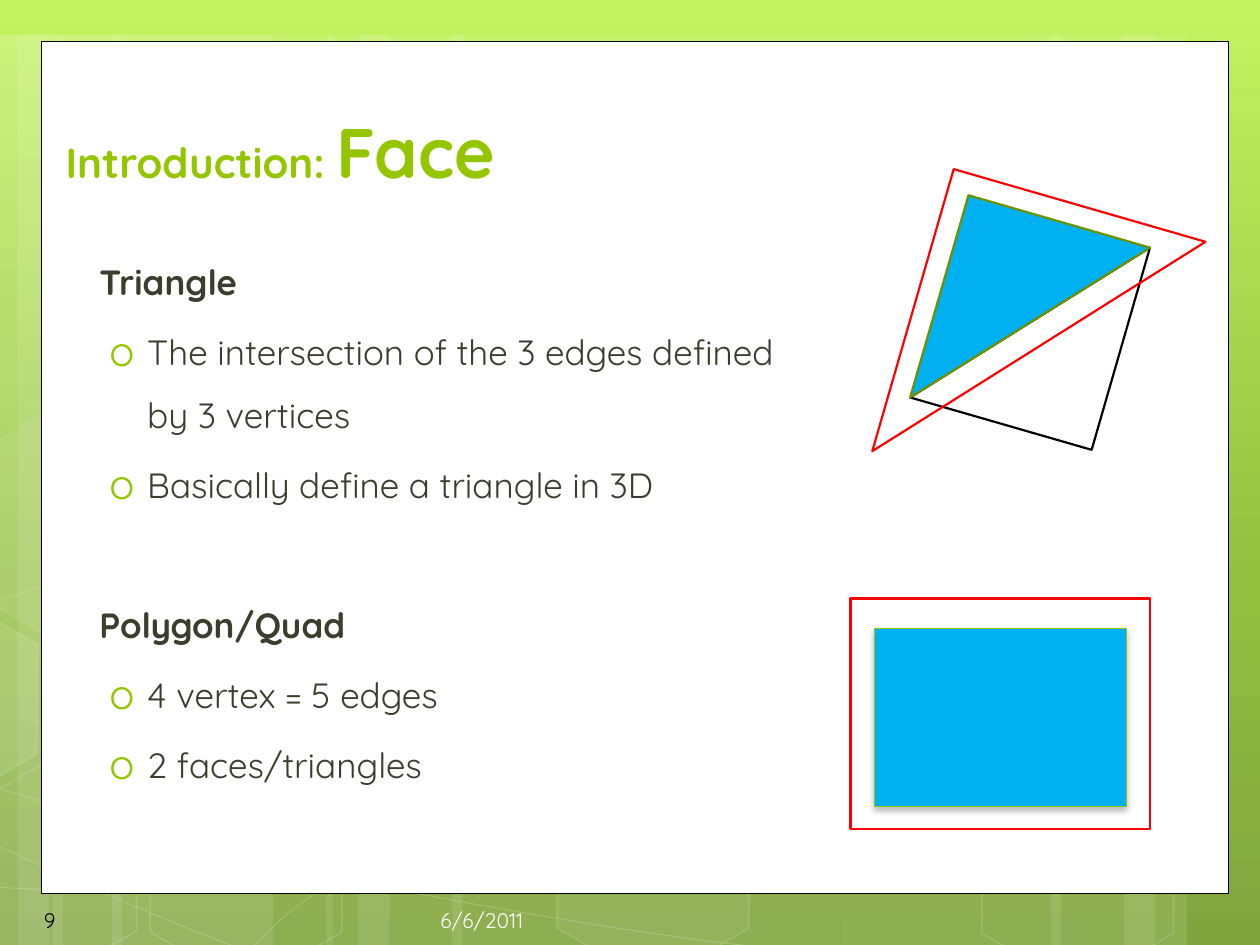
import math
from copy import deepcopy
from dataclasses import dataclass

from lxml import etree
from pptx import Presentation
from pptx.dml.color import RGBColor
from pptx.enum.shapes import MSO_SHAPE
from pptx.enum.text import MSO_ANCHOR, PP_ALIGN
from pptx.oxml.ns import qn
from pptx.util import Inches, Pt

RECT, HEXAGON, TRIANGLE = MSO_SHAPE.RECTANGLE, MSO_SHAPE.HEXAGON, MSO_SHAPE.RIGHT_TRIANGLE
LEFT, RIGHT = PP_ALIGN.LEFT, PP_ALIGN.RIGHT
MIDDLE, BOTTOM = MSO_ANCHOR.MIDDLE, MSO_ANCHOR.BOTTOM

FONT = "Quicksand"
WHITE = RGBColor(0xFF, 0xFF, 0xFF)
OFF_WHITE = RGBColor(0xFE, 0xFE, 0xFE)
BLACK = RGBColor(0, 0, 0)
RED = RGBColor(0xFF, 0, 0)
BLUE = RGBColor(0, 0xB0, 0xF0)
LIME = RGBColor(0x94, 0xC6, 0)
OLIVE = RGBColor(0x6D, 0x92, 0)
INK = RGBColor(0x3E, 0x3D, 0x2D)
BACKGROUND_STOPS = [
    (0, RGBColor(0xC3, 0xF3, 0x5F)),
    (0.62, RGBColor(0x93, 0xBF, 0x3F)),
    (1, RGBColor(0x81, 0xA5, 0x3E)),
]


@dataclass
class Style:
    fill: RGBColor | None = None
    fill_alpha: int = 100
    line: RGBColor | None = None
    width: float = 1
    line_alpha: int = 100


@dataclass
class Figure:
    box: tuple
    style: Style
    kind: int = RECT
    rotation: float = 0


# Background bands: left, width, rotation
BANDS = [(0.42, 1.75, 0), (-0.33, 0.83, 0), (0.89, 1.75, 0), (-0.11, 0.5, 0), (0.14, 0.83, 0),
         (6.67, 1.75, 180), (8.92, 0.5, 180), (8.34, 0.83, 180), (3.59, 3.08, 0),
         (2.59, 0.5, 0), (2.84, 0.83, 0)]
# Background hexagons: left, top, fill opacity, line opacity
HEXAGONS = [(2.68, 0.64, 4, 8), (4.31, 6.17, 6, 12), (-0.55, 6.19, 0, 12), (-0.52, 3.4, 7, 8),
            (0.27, 4.8, 0, 12), (1.08, 6.2, 0, 12), (0.29, 1.99, 0, 12), (7.68, 6.21, 0, 12)]
# Hexagons cut at the slide's edge: centre, fill opacity, corners
CUT_HEXAGONS = [
    ((-0.3, 5.64), 10, [(-0.58, 4.73), (-0.47, 4.67), (0.3, 5.11), (0.29, 5.98),
                        (-0.46, 6.42), (-0.58, 6.36)]),
    ((9.19, 5.48), 4, [(8.6, 5.14), (9.35, 4.7), (9.43, 4.74), (9.43, 6.42), (9.36, 6.45), (8.6, 6.01)]),
    ((9.19, 2.7), 0, [(8.6, 2.36), (9.35, 1.92), (9.44, 1.96), (9.43, 3.63), (9.36, 3.67), (8.6, 3.23)]),
]
# Bezier chains: a start, then two controls and an end for every piece
CURVES = [
    [(-0.59, 7.01), (-0.05, 7.04), (0.49, 7.08), (1.24, 7.06), (1.99, 7.05), (2.92, 7.03),
     (3.92, 6.93), (4.92, 6.83), (6.34, 6.64), (7.26, 6.45), (8.17, 6.26), (9.11, 5.96), (9.41, 5.79)],
    [(-0.59, 5.05), (-0.3, 4.9), (-0.01, 4.74), (0.55, 4.6), (1.12, 4.45), (1.93, 4.23),
     (2.81, 4.15), (3.7, 4.08), (4.78, 4.08), (5.88, 4.15), (6.98, 4.23), (8.81, 4.54), (9.41, 4.62)],
    [(-0.6, 6.45), (0.61, 7), (1.81, 7.55), (2.68, 7.78)],
    [(-0.59, 6.06), (-0.28, 6.17), (0.04, 6.28), (0.62, 6.44), (1.2, 6.6), (2.07, 6.84),
     (2.9, 7.01), (3.74, 7.18), (4.79, 7.36), (5.62, 7.47), (6.45, 7.57), (7.34, 7.61),
     (7.87, 7.65), (8.39, 7.68), (8.53, 7.66), (8.79, 7.66), (9.05, 7.66), (9.23, 7.64), (9.41, 7.62)],
    [(1.76, 7.78), (1.94, 7.58), (2.12, 7.38), (2.36, 7.19), (2.6, 7.01), (2.94, 6.81),
     (3.22, 6.67), (3.5, 6.54), (3.67, 6.48), (4.03, 6.37), (4.4, 6.27), (5.07, 6.13),
     (5.42, 6.06), (5.78, 6), (5.83, 6), (6.14, 5.97), (6.45, 5.95), (6.94, 5.92),
     (7.28, 5.91), (7.63, 5.9), (8.2, 5.91), (8.2, 5.91), (8.42, 5.91), (8.65, 5.91),
     (8.87, 5.91), (9.05, 5.91), (9.22, 5.93), (9.31, 5.93), (9.4, 5.94), (9.37, 5.94), (9.4, 5.95)],
]

TRIANGLE_BOX = (7.34, 1.81, 1.67, 1.5)
RED_OUTLINE = Style(line=RED, width=1.25)
QUAD = Figure((6.94, 4.99, 2, 1.41), Style(BLUE, line=LIME, width=0.75))
FACES = [
    Figure(TRIANGLE_BOX, Style(line=BLACK, width=1.25), TRIANGLE, 286.1),
    Figure(TRIANGLE_BOX, Style(BLUE, line=OLIVE, width=1.25), TRIANGLE, 106.1),
    Figure((7.08, 1.71, 2.33, 2.08), RED_OUTLINE, TRIANGLE, 106.1),
    QUAD,
    Figure((6.75, 4.75, 2.38, 1.83), RED_OUTLINE),
]
TOPICS = {
    "Triangle": ["The intersection of the 3 edges defined by 3 vertices",
                 "Basically define a triangle in 3D"],
    "Polygon/Quad": ["4 vertex = 5 edges", "2 faces/triangles"],
}


def apply_style(shape, style: Style) -> None:
    shape.shadow.inherit = False
    shape.fill.background()
    shape.line.fill.background()
    if style.fill is not None:
        shape.fill.solid()
        shape.fill.fore_color.rgb = style.fill
    if style.line is not None:
        shape.line.color.rgb = style.line
        shape.line.width = Pt(style.width)
    for parent, percent in [("", style.fill_alpha), ("a:ln/", style.line_alpha)]:
        if percent < 100:
            for color in shape.element.xpath(f"./p:spPr/{parent}a:solidFill/a:srgbClr"):
                etree.SubElement(color, qn("a:alpha"), val=str(percent * 1000))


def draw(slide, figure: Figure):
    shape = slide.shapes.add_shape(figure.kind, *map(Inches, figure.box))
    shape.rotation = figure.rotation
    apply_style(shape, figure.style)
    return shape


def draw_outline(slide, points: list, style: Style, close: bool):
    emu = [(Inches(x), Inches(y)) for x, y in points]
    builder = slide.shapes.build_freeform(*emu[0], scale=1.0)
    builder.add_line_segments(emu[1:], close=close)
    shape = builder.convert_to_shape()
    apply_style(shape, style)
    return shape


def draw_curve(slide, chain: list, style: Style) -> None:
    """Draw the chain, then join each three segments into one Bezier piece."""
    segments = draw_outline(slide, chain, style, False).element.xpath(".//a:lnTo")
    for start in range(0, len(segments), 3):
        piece = etree.Element(qn("a:cubicBezTo"))
        segments[start].addprevious(piece)
        for segment in segments[start:start + 3]:
            piece.append(segment[0])
            segment.getparent().remove(segment)


def turn(point: tuple, center: tuple, degrees: float) -> tuple:
    cos, sin = math.cos(math.radians(degrees)), math.sin(math.radians(degrees))
    dx, dy = point[0] - center[0], point[1] - center[1]
    return center[0] + dx * cos - dy * sin, center[1] + dx * sin + dy * cos


def write(paragraph, text: str, *, size: float, color: RGBColor, bold=False, align=LEFT) -> None:
    paragraph.alignment = align
    run = paragraph.add_run()
    run.text = text
    run.font.name, run.font.size, run.font.bold = FONT, Pt(size), bold
    run.font.color.rgb = color


def add_bullet(paragraph) -> None:
    props = paragraph._p.get_or_add_pPr()
    props.set("marL", str(Inches(0.38)))
    props.set("indent", str(Inches(-0.3)))
    color = etree.SubElement(props, qn("a:buClr"))
    etree.SubElement(color, qn("a:srgbClr"), val=str(LIME))
    etree.SubElement(props, qn("a:buSzPct"), val="120000")
    etree.SubElement(props, qn("a:buFont"), typeface=FONT)
    etree.SubElement(props, qn("a:buChar"), char="o")


def add_text_frame(slide, *box: float):
    frame = slide.shapes.add_textbox(*map(Inches, box)).text_frame
    frame.word_wrap = True
    return frame


def draw_background(slide) -> None:
    fill = slide.background.fill
    fill.gradient()
    fill.gradient_angle = 270
    stop_list = slide.element.xpath(".//p:bg//a:gsLst")[0]
    stop_list.append(deepcopy(stop_list[-1]))
    for stop, (position, color) in zip(fill.gradient_stops, BACKGROUND_STOPS):
        stop.position, stop.color.rgb = position, color
    for left, width, rotation in BANDS:
        draw(slide, Figure((left, 0.28, width, 7.5), Style(WHITE, 10), rotation=rotation))
    for chain in CURVES:
        draw_curve(slide, chain, Style(line=WHITE, width=0.5, line_alpha=20))
    for left, top, fill_alpha, line_alpha in HEXAGONS:
        style = Style(WHITE if fill_alpha else None, fill_alpha, WHITE, 1, line_alpha)
        draw(slide, Figure((left, top, 1.75, 1.52), style, HEXAGON, 30)).adjustments[0] = 0.285
    for center, fill_alpha, corners in CUT_HEXAGONS:
        style = Style(WHITE if fill_alpha else None, fill_alpha, WHITE, 1, 12)
        draw_outline(slide, [turn(c, center, -30) for c in corners], style, True).rotation = 30


def main() -> None:
    deck = Presentation()
    deck.slide_width, deck.slide_height = Inches(10), Inches(7.5)
    slide = deck.slides.add_slide(deck.slide_layouts[5])
    draw_background(slide)
    panel = draw(slide, Figure((0.33, 0.33, 9.42, 6.76), Style(WHITE, line=BLACK, width=0.5)))

    # Title, brought in front of the panel
    title = slide.shapes.title
    panel.element.addnext(title.element)
    title.left, title.top, title.width, title.height = map(Inches, (0.42, 0.33, 9.25, 1.25))
    title.text_frame.vertical_anchor = BOTTOM
    for text, size in [("Introduction: ", 24), ("Face", 40)]:
        write(title.text_frame.paragraphs[0], text, size=size, color=LIME, bold=True)

    # Topics with their bullet points; the list style makes the bullets bold
    body = add_text_frame(slide, 0.69, 1.85, 5.92, 4.95)
    level = etree.SubElement(body._txBody.find(qn("a:lstStyle")), qn("a:lvl1pPr"))
    etree.SubElement(level, qn("a:defRPr"), b="1")
    paragraph = body.paragraphs[0]
    for number, (topic, points) in enumerate(TOPICS.items()):
        for row, text in enumerate([topic, *points]):
            if number or row:
                paragraph = body.add_paragraph()
            paragraph.line_spacing = 1.5
            paragraph.space_before = Pt(44 if number and not row else 4)
            write(paragraph, text, size=20, color=INK, bold=not row)
            if row:
                add_bullet(paragraph)

    # Slide number and date
    for left, width, text, color, align in [(0.25, 1.46, "9", BLACK, LEFT),
                                            (1.92, 2.33, "6/6/2011", OFF_WHITE, RIGHT)]:
        footer = add_text_frame(slide, left, 7.1, width, 0.4)
        footer.vertical_anchor = MIDDLE
        write(footer.paragraphs[0], text, size=12, color=color, align=align)

    # Triangle and quad faces; the quad casts a soft shadow
    for face in FACES:
        shape = draw(slide, face)
        if face is QUAD:
            effects = shape.element.xpath("./p:spPr/a:effectLst")[0]
            shadow = etree.SubElement(effects, qn("a:outerShdw"), blurRad=str(Pt(4)),
                                      dist=str(Pt(2)), dir="5400000", rotWithShape="0")
            tint = etree.SubElement(shadow, qn("a:srgbClr"), val=str(BLACK))
            etree.SubElement(tint, qn("a:alpha"), val="28000")
    deck.save("out.pptx")


if __name__ == "__main__":
    main()
